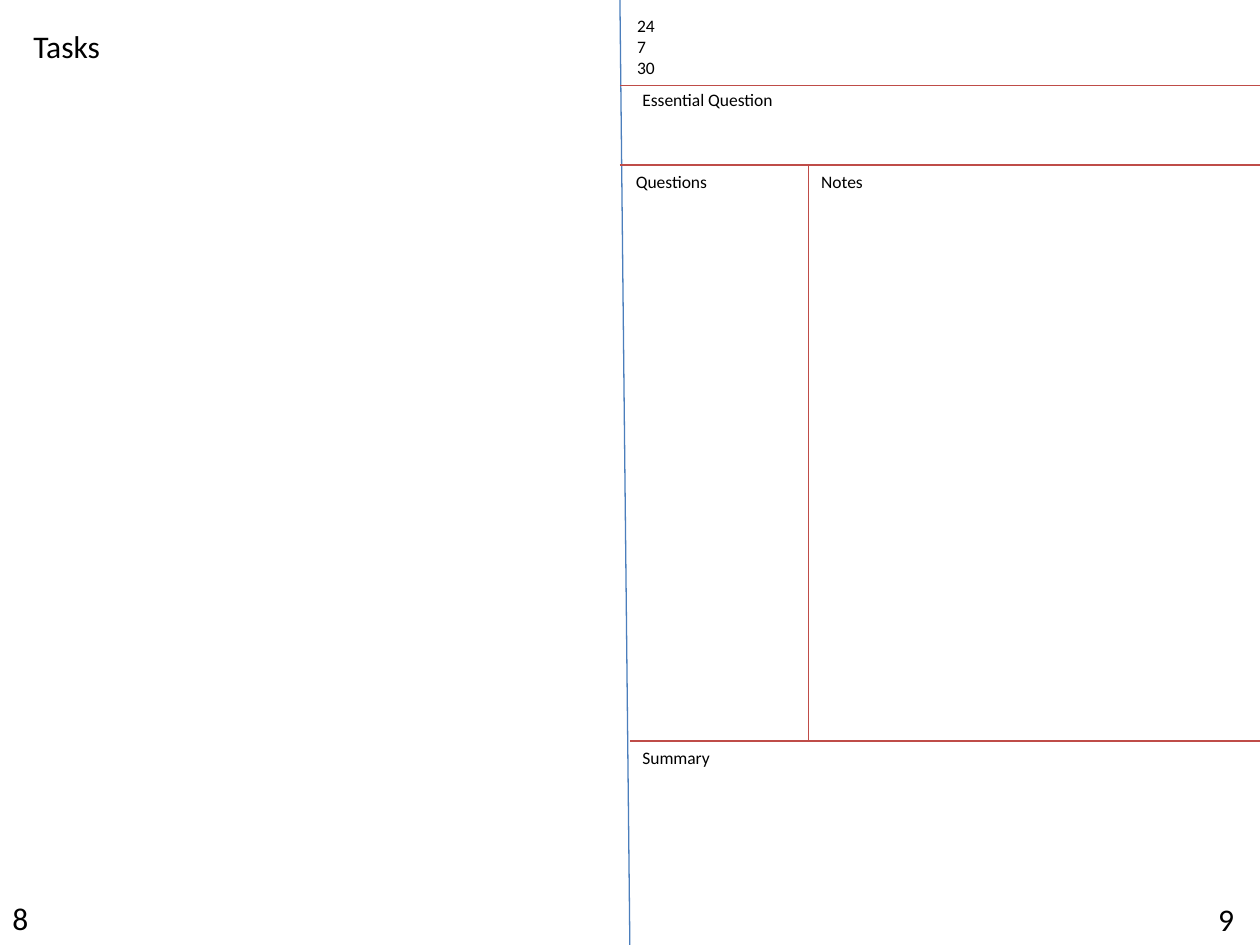
from lxml import etree
from pptx import Presentation
from pptx import util as u
from pptx.dml.color import RGBColor
from pptx.enum import shapes, text
from pptx.oxml import ns

BLACK = RGBColor(0x00, 0x00, 0x00)
BLUE = RGBColor(0x4B, 0x7E, 0xBC)
RED = RGBColor(0xBF, 0x4C, 0x48)

WIDTH, HEIGHT = 720, 540
SPINE_TOP, SPINE_BOTTOM = 354.25, 360
QUESTION_Y, NOTES_Y, SUMMARY_Y = 49, 94.3, 423.4
NOTES_X = 462.2
LABEL_HEIGHT = 19.4
NUMBER_HEIGHT = 29


class NotebookPage:
    def __init__(self, slide, font="Calibri", line_width=0.75):
        self.slide = slide
        self.font = font
        self.line_width = line_width

    def rule(self, x1, y1, x2, y2, color=RED):
        line = self.slide.shapes.add_connector(
            shapes.MSO_CONNECTOR.STRAIGHT, u.Pt(x1), u.Pt(y1), u.Pt(x2), u.Pt(y2))
        line.line.color.rgb = color
        line.line.width = u.Pt(self.line_width)
        etree.SubElement(line._element.spPr, ns.qn("a:effectLst"))

    def label(self, content, x, y, width, height=LABEL_HEIGHT, size=10, wrap=False):
        box = self.slide.shapes.add_textbox(u.Pt(x), u.Pt(y), u.Pt(width), u.Pt(height))
        frame = box.text_frame
        frame.word_wrap = wrap
        frame.auto_size = text.MSO_AUTO_SIZE.SHAPE_TO_FIT_TEXT
        frame.text = content
        for paragraph in frame.paragraphs:
            for run in paragraph.runs:
                run.font.name = self.font
                run.font.size = u.Pt(size)
                run.font.color.rgb = BLACK


def main():
    presentation = Presentation()
    presentation.slide_width = u.Pt(WIDTH)
    presentation.slide_height = u.Pt(HEIGHT)
    page = NotebookPage(presentation.slides.add_slide(presentation.slide_layouts[6]))

    page.rule(SPINE_TOP, 0, SPINE_BOTTOM, 548, BLUE)
    page.label("8", 0, 510, 23.5, NUMBER_HEIGHT, size=18)
    page.label("9", 689, 511, 43, NUMBER_HEIGHT, size=18, wrap=True)

    for y in (QUESTION_Y, NOTES_Y):
        page.rule(SPINE_TOP, y, WIDTH, y)
    page.rule(SPINE_BOTTOM, SUMMARY_Y, 732, SUMMARY_Y)
    page.rule(NOTES_X, NOTES_Y, NOTES_X, SUMMARY_Y)

    page.label("24\n7\n30", 357, 5, 34, 43.6, wrap=True)
    page.label("Essential Question", SPINE_BOTTOM, 47.5, 90)
    page.label("Notes", NOTES_X, NOTES_Y, 39)
    page.label("Questions", 356.3, NOTES_Y, 56)
    page.label("Summary", SPINE_BOTTOM, SUMMARY_Y, 53.3)
    page.label("Tasks", 12, 11.7, 52.5, NUMBER_HEIGHT, size=18)

    presentation.save("out.pptx")


if __name__ == "__main__":
    main()
